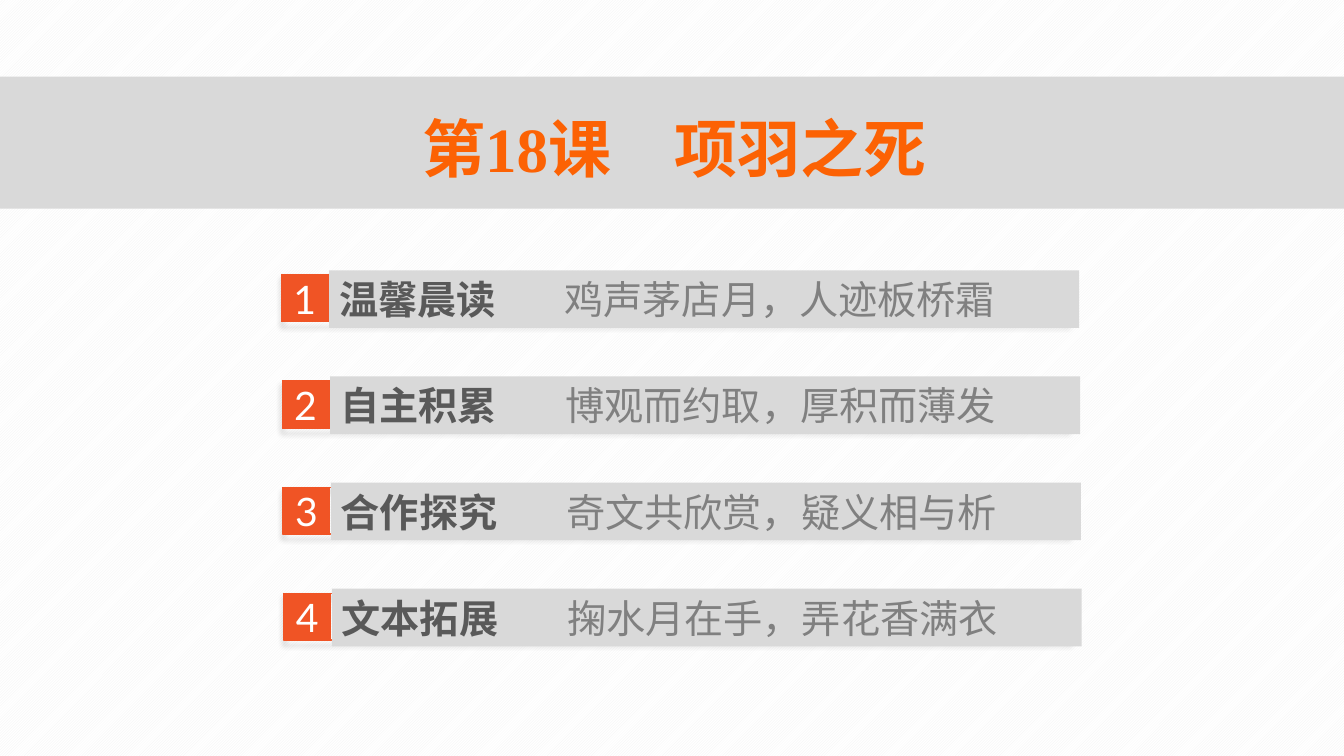
from lxml import etree
from pptx import Presentation
from pptx.dml.color import RGBColor
from pptx.enum.dml import MSO_PATTERN
from pptx.enum.shapes import MSO_SHAPE
from pptx.enum.text import MSO_ANCHOR, PP_ALIGN
from pptx.oxml import parse_xml
from pptx.oxml.ns import nsdecls, qn
from pptx.util import Pt

COLORS = {
    "band": "D9D9D9", "accent": "F05425", "title": "FC6204",
    "heading": "595959", "verse": "808080", "white": "FFFFFF", "stripe": "F2F2F2",
}
CJK = "Noto Sans CJK SC"
SECTIONS = [
    ("温馨晨读", "鸡声茅店月，人迹板桥霜"),
    ("自主积累", "博观而约取，厚积而薄发"),
    ("合作探究", "奇文共欣赏，疑义相与析"),
    ("文本拓展", "掬水月在手，弄花香满衣"),
]
FIRST_LEFT, FIRST_TOP = 201, 196.5
STEP_X, STEP_Y = 0.6, 75.8
BADGE = 33.4
VERSE_TAB = 161


def rgb(name):
    return RGBColor.from_string(COLORS[name])


def add_rect(shapes, x, y, w, h, fill=None, line=None):
    sp = shapes.add_shape(MSO_SHAPE.RECTANGLE, Pt(x), Pt(y), Pt(w), Pt(h))
    sp.shadow.inherit = False
    if fill:
        sp.fill.solid()
        sp.fill.fore_color.rgb = rgb(fill)
    else:
        sp.fill.background()
    if line:
        sp.line.color.rgb = rgb(line)
        sp.line.width = Pt(1)
    else:
        sp.line.fill.background()
    return sp


def add_drop_shadow(sp):
    effects = sp._element.spPr.find(qn("a:effectLst"))
    effects.append(parse_xml(
        f'<a:outerShdw {nsdecls("a")} blurRad="{Pt(4)}" dist="{Pt(3)}" dir="5400000" '
        'algn="t" rotWithShape="0"><a:srgbClr val="000000"><a:alpha val="40000"/>'
        '</a:srgbClr></a:outerShdw>'))


def style_run(r, size, color, font, bold=False):
    r.font.size = Pt(size)
    r.font.bold = bold
    r.font.name = font
    r.font.color.rgb = rgb(color)
    ea = etree.SubElement(r.font._element, qn("a:ea"))
    ea.set("typeface", CJK)


def add_tab_stop(p, pos):
    tabs = etree.SubElement(p._p.get_or_add_pPr(), qn("a:tabLst"))
    etree.SubElement(tabs, qn("a:tab"), pos=str(Pt(pos)), algn="l")


def add_section(s, i, heading, verse):
    """Numbered badge and grey bar, grouped."""
    x, y = FIRST_LEFT + i * STEP_X, FIRST_TOP + i * STEP_Y
    shapes = s.shapes.add_group_shape().shapes
    add_drop_shadow(add_rect(shapes, x, y, 561, BADGE, line="accent"))

    badge = add_rect(shapes, x, y, BADGE, BADGE, "accent", "accent")
    tf = badge.text_frame
    tf.margin_left = tf.margin_right = tf.margin_top = tf.margin_bottom = 0
    tf.vertical_anchor = MSO_ANCHOR.MIDDLE
    tf.text = str(i + 1)
    p = tf.paragraphs[0]
    p.alignment = PP_ALIGN.CENTER
    style_run(p.runs[0], 28, "white", "Lato")

    bar = add_rect(shapes, x + 34.2, y - 3.4, 535.7, 41.2, "band")
    tf = bar.text_frame
    tf.margin_top = tf.margin_bottom = 0
    tf.vertical_anchor = MSO_ANCHOR.MIDDLE
    p = tf.paragraphs[0]
    p.alignment = PP_ALIGN.LEFT
    add_tab_stop(p, VERSE_TAB)
    for text, color, bold in ((heading + "\t", "heading", True), (verse, "verse", False)):
        r = p.add_run()
        r.text = text
        style_run(r, 28, color, CJK, bold)


def set_title(s, text):
    title = s.shapes.title
    s.shapes._spTree.append(title._element)  # bring in front of the band
    title.left, title.top, title.width, title.height = Pt(83), Pt(75.6), Pt(797), Pt(59)
    tf = title.text_frame
    tf.text = text
    tf.vertical_anchor = MSO_ANCHOR.MIDDLE
    p = tf.paragraphs[0]
    p.alignment = PP_ALIGN.CENTER
    style_run(p.runs[0], 45, "title", "Times New Roman", True)


def set_background(s):
    fill = s.background.fill
    fill.patterned()
    fill.pattern = MSO_PATTERN.LIGHT_UPWARD_DIAGONAL
    fill.fore_color.rgb = rgb("stripe")
    fill.back_color.rgb = rgb("white")


def main():
    prs = Presentation()
    prs.slide_width, prs.slide_height = Pt(960), Pt(540)
    s = prs.slides.add_slide(prs.slide_layouts[5])
    set_background(s)
    add_rect(s.shapes, 0, 54.7, 960, 94.3, "band")
    for i, (heading, verse) in enumerate(SECTIONS):
        add_section(s, i, heading, verse)
    set_title(s, "第18课　项羽之死")
    prs.save("out.pptx")


if __name__ == "__main__":
    main()
